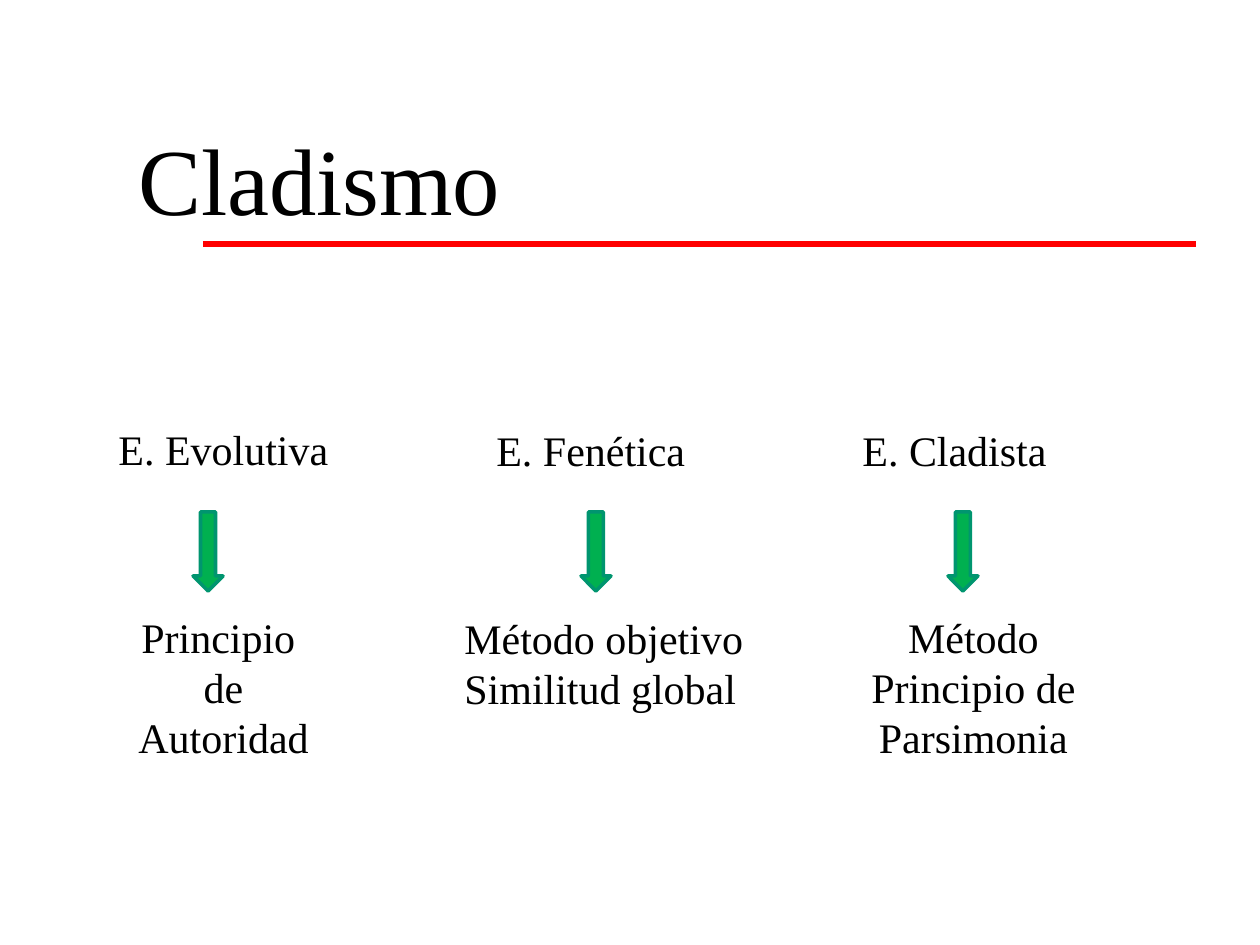
"""Build the Cladismo slide: three schools, each with an arrow to its principle."""
from lxml import etree
from pptx import Presentation
from pptx.dml.color import RGBColor
from pptx.enum.shapes import MSO_CONNECTOR, MSO_SHAPE
from pptx.enum.text import MSO_AUTO_SIZE, PP_ALIGN
from pptx.oxml.ns import qn
from pptx.util import Pt

LEFT, CENTER = PP_ALIGN.LEFT, PP_ALIGN.CENTER
DOWN_ARROW = MSO_SHAPE.DOWN_ARROW
STRAIGHT = MSO_CONNECTOR.STRAIGHT
NO_AUTOSIZE = MSO_AUTO_SIZE.NONE

FONT = "Times New Roman"
BLACK, RED, GREEN, TEAL = "000000", "FF0000", "00B050", "00956F"
SCALE = 914400 / 126

TITLE = ("Cladismo", (126, 115, 387, 126))
RULE = (203, 244, 1196, 244)
ARROW_TOP, ARROW_W, ARROW_H = 512, 30, 79
SCHOOLS = [
    {"name": "E. Evolutiva", "name_box": (106, 417, 234, 63), "arrow_x": 193,
     "basis": "Principio \nde\nAutoridad", "basis_box": (126, 605, 195, 164), "align": CENTER},
    {"name": "E. Fenética", "name_box": (484, 418, 214, 63), "arrow_x": 581,
     "basis": "Método objetivo\nSimilitud global", "basis_box": (452, 606, 304, 113), "align": LEFT},
    {"name": "E. Cladista", "name_box": (850, 418, 209, 63), "arrow_x": 948,
     "basis": "Método\nPrincipio de\nParsimonia", "basis_box": (859, 605, 229, 164), "align": CENTER},
]


def px(*values):
    return [round(v * SCALE) for v in values]


def color(value):
    return RGBColor.from_string(value)


def add_text(slide, text, box, size=24, align=LEFT):
    tf = slide.shapes.add_textbox(*px(*box)).text_frame
    tf.word_wrap = False
    tf.auto_size = NO_AUTOSIZE
    tf.text = text
    for p in tf.paragraphs:
        p.alignment = align
        for r in p.runs:
            r.font.name = FONT
            r.font.size = Pt(size)
            r.font.color.rgb = color(BLACK)


def add_rule(slide, ends):
    line = slide.shapes.add_connector(STRAIGHT, *px(*ends))
    line.line.color.rgb = color(RED)
    line.line.width = Pt(3)
    etree.SubElement(line._element.spPr, qn("a:effectLst"))


def add_arrow(slide, x):
    sp = slide.shapes.add_shape(DOWN_ARROW, *px(x, ARROW_TOP, ARROW_W, ARROW_H))
    sp.shadow.inherit = False
    sp.fill.solid()
    sp.fill.fore_color.rgb = color(GREEN)
    sp.line.color.rgb = color(TEAL)
    sp.line.width = Pt(2)


def main():
    prs = Presentation()
    prs.slide_width, prs.slide_height = px(1260, 945)
    slide = prs.slides.add_slide(prs.slide_layouts[6])
    add_text(slide, *TITLE, size=54)
    add_rule(slide, RULE)
    for school in SCHOOLS:
        add_text(slide, school["name"], school["name_box"])
        add_arrow(slide, school["arrow_x"])
        add_text(slide, school["basis"], school["basis_box"], align=school["align"])
    prs.save("out.pptx")


if __name__ == "__main__":
    main()
